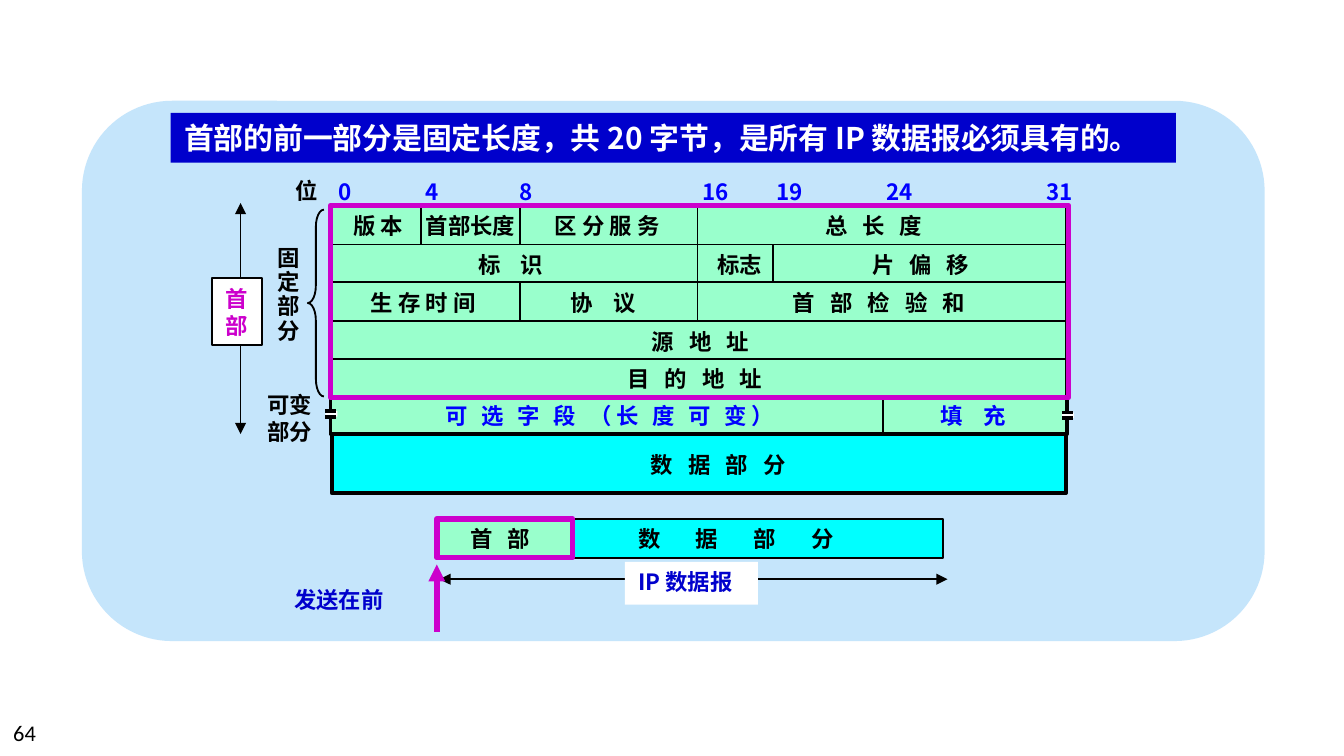
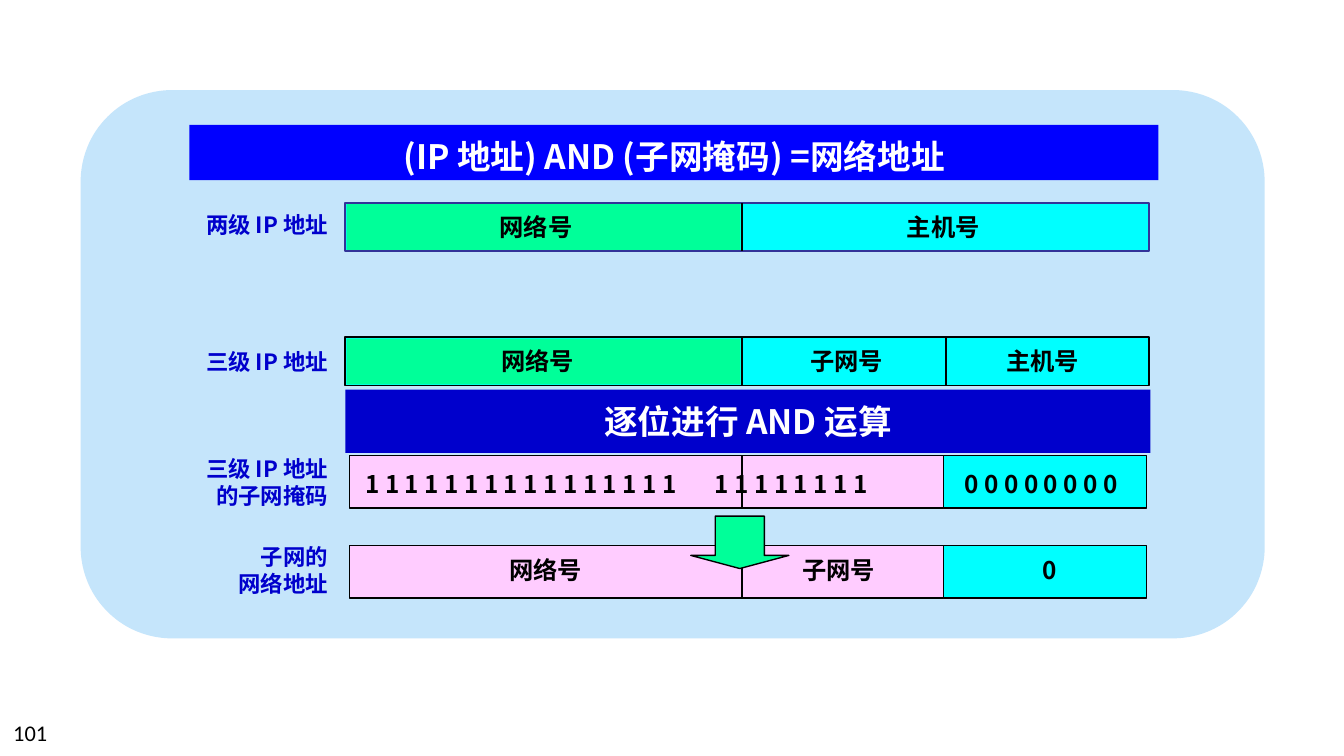
from lxml import etree
from pptx import Presentation
from pptx.dml.color import RGBColor
from pptx.enum.shapes import MSO_CONNECTOR, MSO_SHAPE
from pptx.enum.text import MSO_ANCHOR, MSO_AUTO_SIZE, PP_ALIGN
from pptx.oxml.ns import qn
from pptx.util import Inches, Pt

RECT, ROUNDED = MSO_SHAPE.RECTANGLE, MSO_SHAPE.ROUNDED_RECTANGLE
BRACE, DOWN_ARROW = MSO_SHAPE.LEFT_BRACE, MSO_SHAPE.DOWN_ARROW
STRAIGHT = MSO_CONNECTOR.STRAIGHT
LEFT, CENTER, RIGHT = PP_ALIGN.LEFT, PP_ALIGN.CENTER, PP_ALIGN.RIGHT
TOP, MIDDLE = MSO_ANCHOR.TOP, MSO_ANCHOR.MIDDLE
FIT_SHAPE, FIXED = MSO_AUTO_SIZE.SHAPE_TO_FIT_TEXT, MSO_AUTO_SIZE.NONE


class Theme:
    font = "Noto Sans CJK SC"
    number_font = "Calibri"
    black, white = "000000", "FFFFFF"
    panel = "C5E5FB"
    navy, blue, indigo = "0000CC", "0000FF", "333399"
    mint, green, cyan = "99FFCC", "00FF99", "00FFFF"
    pink, magenta = "FFCCFF", "CC00CC"
    label, field, banner, heading = 12, 13, 16, 18


def draw(page, kind, at, fill=None, line=None, width=1, ends=()):
    lengths = [Inches(value) for value in at]
    if kind is None:
        return page.shapes.add_textbox(*lengths)
    if kind is STRAIGHT:
        shape = page.shapes.add_connector(kind, *lengths)
        etree.SubElement(shape.line._get_or_add_ln().getparent(), qn("a:effectLst"))
    else:
        shape = page.shapes.add_shape(kind, *lengths)
        shape.shadow.inherit = False
        if fill:
            shape.fill.solid()
            shape.fill.fore_color.rgb = RGBColor.from_string(fill)
        else:
            shape.fill.background()
    if line:
        shape.line.color.rgb = RGBColor.from_string(line)
        shape.line.width = Pt(width)
    else:
        shape.line.fill.background()
    for end in ends:
        etree.SubElement(shape.line._get_or_add_ln(), qn(end), type="triangle")
    return shape


def write(box, text, size=Theme.label, color=Theme.black, align=LEFT, wrap=False,
          gap=1, leading=None, anchor=TOP, fit=FIT_SHAPE, font=Theme.font,
          bold=True, tab=None):
    frame = box.text_frame
    frame.text = text
    frame.word_wrap = wrap
    frame.auto_size = fit
    frame.vertical_anchor = anchor
    for para in frame.paragraphs:
        para.alignment = align
        if leading:
            para.line_spacing = leading
        if tab:
            stops = etree.SubElement(para._p.get_or_add_pPr(), qn("a:tabLst"))
            etree.SubElement(stops, qn("a:tab"), pos=str(Inches(tab)), algn="l")
        para.font.size = Pt(size)
        para.font.bold = bold
        para.font.name = font
        para.font.color.rgb = RGBColor.from_string(color)
        marks = para.font._rPr
        etree.SubElement(marks, qn("a:ea"), typeface=font)
        if gap > 1:
            marks.set("spc", str(round((gap - 1) * 135)))


deck = Presentation()
deck.slide_width = Inches(10)
deck.slide_height = deck.slide_width * 9 // 16

frames = [
    ("64", (0.61, 0.75, 8.8, 4.02), (1.27, 0.84, 7.48, 0.37), Theme.navy,
     "首部的前一部分是固定长度，共 20 字节，是所有 IP 数据报必须具有的。",
     dict(size=Theme.banner)),
    ("101", (0.6, 0.67, 8.81, 4.08), (1.41, 0.93, 7.21, 0.41), Theme.blue,
     "(IP 地址) AND (子网掩码) =网络地址",
     dict(size=Theme.heading, align=CENTER, wrap=True, leading=1.1)),
]
pages = []
for number, panel_at, banner_at, fill, text, style in frames:
    page = deck.slides.add_slide(deck.slide_layouts[5])
    banner = page.shapes.title
    panel = draw(page, ROUNDED, panel_at, Theme.panel)
    banner.element.addprevious(panel.element)
    banner.left, banner.top, banner.width, banner.height = map(Inches, banner_at)
    banner.fill.solid()
    banner.fill.fore_color.rgb = RGBColor.from_string(fill)
    write(banner, text, color=Theme.white, fit=FIXED, **style)
    write(draw(page, None, (0, 5.3, 2.33, 0.3)), number, wrap=True,
          font=Theme.number_font, bold=False)
    pages.append(page)
header_page, mask_page = pages

BOTH_ENDS = ("a:headEnd", "a:tailEnd")
row_tops = [1.53, 1.82, 2.1, 2.39, 2.67, 2.96]
header_left, header_right = 2.46, 7.95

draw(header_page, RECT, (2.46, 1.53, 5.48, 1.7), Theme.mint, Theme.black, 2)
draw(header_page, RECT, (2.47, 3.23, 5.46, 0.44), Theme.cyan, Theme.black, 2.25)
for top in row_tops[1:]:
    draw(header_page, STRAIGHT, (header_left, top, header_right, top), line=Theme.black)
for x, top, bottom in [(3.13, 1.53, 1.82), (3.87, 1.53, 1.82), (3.87, 2.1, 2.39),
                       (5.19, 1.53, 2.39), (5.75, 1.82, 2.1), (6.57, 2.96, 3.23)]:
    draw(header_page, STRAIGHT, (x, top, x, bottom), line=Theme.black)

for bit, x in [("0", 2.42), ("4", 3.07), ("8", 3.77), ("16", 5.13),
               ("19", 5.68), ("24", 6.5), ("31", 7.69)]:
    box = draw(header_page, None, (x, 1.28, 0.19 + 0.11 * len(bit), 0.3))
    write(box, bit, color=Theme.blue)
write(draw(header_page, None, (2.1, 1.27, 0.37, 0.3)), "位")

header_fields = [
    (0, 2.53, 0.59, "版 本", 1), (0, 3.07, 0.87, "首部长度", 1),
    (0, 4.03, 1.03, "区 分 服 务", 1), (0, 6.04, 1.01, "总 长 度", 3),
    (1, 3.46, 0.74, "标 识", 4), (1, 5.24, 0.54, "标志", 1),
    (1, 6.39, 1.01, "片 偏 移", 3),
    (2, 2.66, 1.03, "生 存 时 间", 1), (2, 4.15, 0.74, "协 议", 4),
    (2, 5.8, 1.65, "首 部 检 验 和", 3),
    (3, 4.75, 1.01, "源 地 址", 3), (4, 4.57, 1.33, "目 的 地 址", 3),
]
for row, x, width, text, gap in header_fields:
    write(draw(header_page, None, (x, row_tops[row], width, 0.3)), text, gap=gap)
for x, width, text, gap in [(3.22, 2.9, "可 选 字 段 （长 度 可 变）", 2.7),
                            (6.9, 0.74, "填 充", 4)]:
    write(draw(header_page, None, (x, 2.94, width, 0.3)), text, color=Theme.blue, gap=gap)
write(draw(header_page, None, (4.33, 3.31, 2.03, 0.3)), "数 据 部 分",
      align=CENTER, wrap=True, gap=3)

write(draw(header_page, None, (1.97, 1.79, 0.37, 0.83)), "固\n定\n部\n分", leading=0.9)
write(draw(header_page, None, (1.89, 2.86, 0.54, 0.5)), "可变\n部分")
brace = draw(header_page, BRACE, (2.29, 1.56, 0.12, 1.39), line=Theme.black)
brace.adjustments[0] = 1.08

for x, top in [(2.42, 3.06), (7.9, 3.07)]:
    draw(header_page, RECT, (x, top, 0.09, 0.04), Theme.white)
    for y in (top, top + 0.04):
        draw(header_page, STRAIGHT, (x, y, x + 0.08, y), line=Theme.black, width=2)

draw(header_page, RECT, (3.25, 3.86, 1, 0.29), Theme.mint, Theme.black)
draw(header_page, RECT, (4.25, 3.86, 2.77, 0.29), Theme.cyan, Theme.black)
write(draw(header_page, None, (3.4, 3.86, 0.69, 0.3)), "首 部", gap=3)
write(draw(header_page, None, (4.65, 3.86, 2.16, 0.3)), "数 据 部 分", wrap=True, gap=7)
draw(header_page, STRAIGHT, (3.27, 4.31, 7.05, 4.31), line=Theme.black, ends=BOTH_ENDS)
write(draw(header_page, RECT, (4.65, 4.18, 0.99, 0.32), Theme.white),
      "IP 数据报", color=Theme.navy)
draw(header_page, STRAIGHT, (3.25, 4.7, 3.25, 4.2), line=Theme.magenta, width=3,
     ends=("a:tailEnd",))
write(draw(header_page, None, (2.09, 4.31, 0.93, 0.32)), "发送在前", color=Theme.navy)

draw(header_page, STRAIGHT, (1.79, 1.51, 1.79, 3.23), line=Theme.black, ends=BOTH_ENDS)
write(draw(header_page, RECT, (1.58, 2.07, 0.37, 0.5), Theme.white, Theme.black),
      "首\n部", color=Theme.magenta)
for outline in [(3.25, 3.86, 1.01, 0.29), (2.46, 1.53, 5.49, 1.43)]:
    draw(header_page, RECT, outline, line=Theme.magenta, width=3)

for top, line in [(1.51, Theme.indigo), (2.51, Theme.black)]:
    draw(mask_page, RECT, (2.57, top, 5.98, 0.36), Theme.cyan, line)
    draw(mask_page, RECT, (2.58, top + 0.01, 2.93, 0.34), Theme.green)
for top in (3.39, 4.06):
    draw(mask_page, RECT, (7.02, top, 1.51, 0.39), Theme.cyan, Theme.black, 0.75)
    draw(mask_page, RECT, (2.6, top, 4.42, 0.39), Theme.pink, Theme.black, 0.75)
for x, top, height in [(5.52, 1.51, 0.36), (5.52, 2.51, 0.36), (7.04, 2.51, 0.36),
                       (5.52, 3.39, 0.39), (5.52, 4.06, 0.39)]:
    draw(mask_page, STRAIGHT, (x, top, x, top + height), line=Theme.black)

for x, top, width, text in [
    (3.62, 1.53, 0.75, "网络号"), (6.65, 1.53, 0.75, "主机号"),
    (3.63, 2.53, 0.75, "网络号"), (5.93, 2.53, 0.75, "子网号"),
    (7.39, 2.53, 0.75, "主机号"), (7.08, 3.44, 1.48, "0 0 0 0 0 0 0 0"),
    (3.69, 4.08, 0.75, "网络号"), (5.87, 4.08, 0.75, "子网号"), (7.66, 4.08, 0.31, "0"),
]:
    write(draw(mask_page, None, (x, top, width, 0.32)), text, Theme.field)
ones = "\t".join(" ".join("1" * count) for count in (16, 8))
write(draw(mask_page, None, (2.62, 3.44, 4.47, 0.32)), ones, Theme.field,
      wrap=True, tab=2.6)

for x, top, width, height, text in [
    (1.4, 1.52, 1.14, 0.3, "两级 IP 地址"), (1.4, 2.54, 1.14, 0.3, "三级 IP 地址"),
    (1.4, 3.34, 1.14, 0.5, "三级 IP 地址\n的子网掩码"),
    (1.67, 3.99, 0.87, 0.5, "子网的\n网络地址"),
]:
    write(draw(mask_page, None, (x, top, width, height)), text, color=Theme.navy,
          align=RIGHT, wrap=True)

arrow = draw(mask_page, DOWN_ARROW, (5.14, 3.84, 0.73, 0.39), Theme.green, Theme.black, 0.75)
arrow.adjustments[1] = 0.25
write(draw(mask_page, RECT, (2.57, 2.9, 5.99, 0.47), Theme.navy), "逐位进行 AND 运算",
      Theme.heading, Theme.white, CENTER, anchor=MIDDLE, fit=FIXED)

deck.save("out.pptx")
